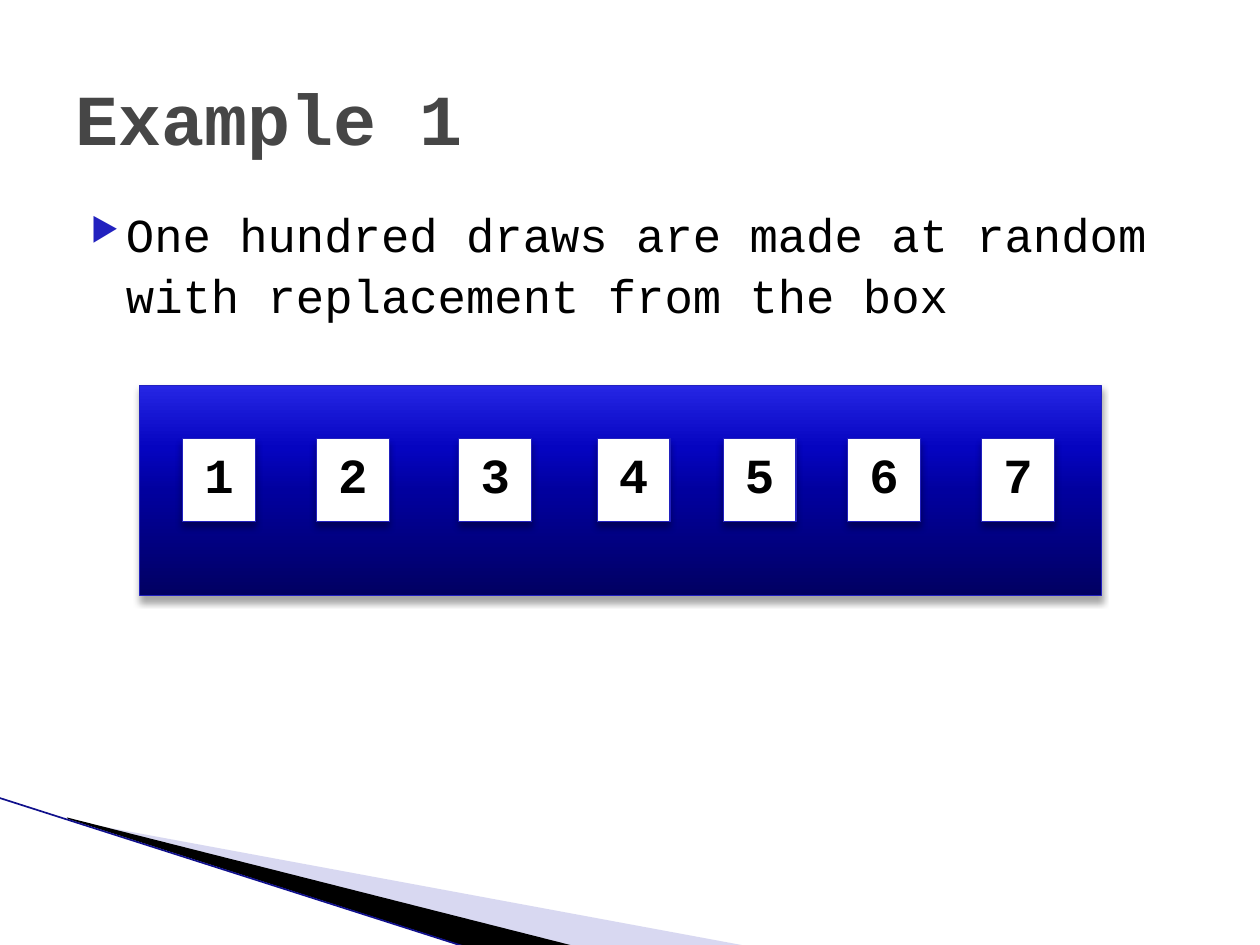
import dataclasses

import pptx
import pptx.dml.color
import pptx.enum.shapes
import pptx.enum.text
import pptx.oxml
import pptx.oxml.ns
import pptx.util

Cm, Pt = pptx.util.Cm, pptx.util.Pt
qn = pptx.oxml.ns.qn
ANCHOR = pptx.enum.text.MSO_ANCHOR
ALIGN = pptx.enum.text.PP_ALIGN
NS = 'xmlns:a="http://schemas.openxmlformats.org/drawingml/2006/main"'


@dataclasses.dataclass(frozen=True)
class Theme:
    font: str = "Courier New"
    title_size: int = 41
    body_size: int = 27
    number_size: int = 28
    title: str = "464646"
    text: str = "000000"
    accent: str = "2221BF"
    card: str = "FFFFFF"
    wedge_light: str = "9F9FDC"
    wedge_dark: str = "000000"
    edge: str = "10108C"
    box_stops: tuple = ((0, "010062"), (50, "01009E"), (70, "0504C0"), (100, "2626E4"))


THEME = Theme()

# Left edges of the tickets, in cm
TICKETS = {"1": 3.68, "2": 6.38, "3": 9.25, "4": 12.04,
           "5": 14.58, "6": 17.09, "7": 19.79}
TICKET_TOP, TICKET_W, TICKET_H, NUMBER_H = 8.84, 1.47, 1.68, 1.45


def rgb(color):
    return pptx.dml.color.RGBColor.from_string(color)


def xml(text):
    return pptx.oxml.parse_xml(text)


def set_all(obj, values):
    for name, value in values.items():
        setattr(obj, name, value)


def add_text(s, text, box, size, color, bold=False, anchor=ANCHOR.TOP, para=None):
    tf = s.shapes.add_textbox(*map(Cm, box)).text_frame
    set_all(tf, {"word_wrap": True, "vertical_anchor": anchor})
    p = tf.paragraphs[0]
    set_all(p, para or {})
    r = p.add_run()
    r.text = text
    set_all(r.font, {"name": THEME.font, "size": Pt(size), "bold": bold})
    r.font.color.rgb = rgb(color)
    return p


def add_bullet(p):
    pPr = p._p.get_or_add_pPr()
    set_all_xml = {"marL": Cm(1.02), "indent": Cm(-0.71)}
    for name, value in set_all_xml.items():
        pPr.set(name, str(int(value)))
    for part in (f'<a:buClr {NS}><a:srgbClr val="{THEME.accent}"/></a:buClr>',
                 f'<a:buSzPct {NS} val="68000"/>',
                 f'<a:buChar {NS} char="▶"/>'):
        pPr.append(xml(part))


def add_panel(s, box):
    """Outlined rectangle with a soft shadow below it."""
    sp = s.shapes.add_shape(pptx.enum.shapes.MSO_SHAPE.RECTANGLE, *map(Cm, box))
    sp.line.color.rgb = rgb(THEME.accent)
    sp.line.width = Pt(0.75)
    sp.shadow.inherit = False
    sp._element.spPr.find(qn("a:effectLst")).append(xml(
        f'<a:outerShdw {NS} blurRad="{Pt(4)}" dist="{Pt(3)}" dir="5400000" '
        'rotWithShape="0"><a:srgbClr val="000000"><a:alpha val="35000"/>'
        '</a:srgbClr></a:outerShdw>'))
    return sp


def fill_gradient(sp, stops):
    sp.fill.gradient()
    sp.fill.gradient_angle = 90
    gs_list = sp._element.spPr.find(qn("a:gradFill")).find(qn("a:gsLst"))
    for gs in list(gs_list):
        gs_list.remove(gs)
    for pos, color in stops:
        gs_list.append(xml(f'<a:gs {NS} pos="{pos * 1000}">'
                           f'<a:srgbClr val="{color}"/></a:gs>'))


def add_wedge(s, points, color, alpha=100):
    start, *rest = [(Cm(x), Cm(y)) for x, y in points]
    builder = s.shapes.build_freeform(*start)
    builder.add_line_segments(rest, close=True)
    sp = builder.convert_to_shape()
    sp.shadow.inherit = False
    sp.line.fill.background()
    sp.fill.solid()
    sp.fill.fore_color.rgb = rgb(color)
    if alpha < 100:
        clr = sp._element.spPr.find(qn("a:solidFill"))[0]
        clr.append(xml(f'<a:alpha {NS} val="{alpha * 1000}"/>'))


def add_line(s, ends, color, width):
    line = s.shapes.add_connector(pptx.enum.shapes.MSO_CONNECTOR.STRAIGHT, *map(Cm, ends))
    line.line.color.rgb = rgb(color)
    line.line.width = Pt(width)
    line._element.spPr.append(xml(f"<a:effectLst {NS}/>"))


def add_ticket(s, number, left):
    sp = add_panel(s, (left, TICKET_TOP, TICKET_W, TICKET_H))
    sp.fill.solid()
    sp.fill.fore_color.rgb = rgb(THEME.card)
    add_text(s, number, (left, TICKET_TOP, TICKET_W, NUMBER_H), THEME.number_size,
             THEME.text, bold=True, para={"alignment": ALIGN.CENTER})


def main():
    prs = pptx.Presentation()
    set_all(prs, {"slide_width": Cm(25.4), "slide_height": Cm(19.05)})
    s = prs.slides.add_slide(prs.slide_layouts[6])

    # Corner decoration
    add_wedge(s, [(1.4, 16.54), (15.11, 19.08), (11.58, 19.08), (1.4, 16.51)],
              THEME.wedge_light, alpha=40)
    add_wedge(s, [(1.35, 16.48), (11.61, 19.08), (9.45, 19.1), (1.37, 16.51)],
              THEME.wedge_dark)
    add_line(s, (-0.03, 16.08, 9.42, 19.1), THEME.edge, 0.95)

    # Body and title
    p = add_text(s, "One hundred draws are made at random with replacement from the box",
                 (1.27, 3.94, 22.86, 12.57), THEME.body_size, THEME.text,
                 para={"space_before": Pt(4), "line_spacing": 1.07})
    add_bullet(p)
    add_text(s, "Example 1", (1.27, 0.76, 22.86, 3.18), THEME.title_size, THEME.title,
             bold=True, anchor=ANCHOR.MIDDLE)

    # Box of numbered tickets
    box = add_panel(s, (2.82, 7.77, 19.38, 4.24))
    fill_gradient(box, THEME.box_stops)
    for number, left in TICKETS.items():
        add_ticket(s, number, left)

    prs.save("out.pptx")


if __name__ == "__main__":
    main()
